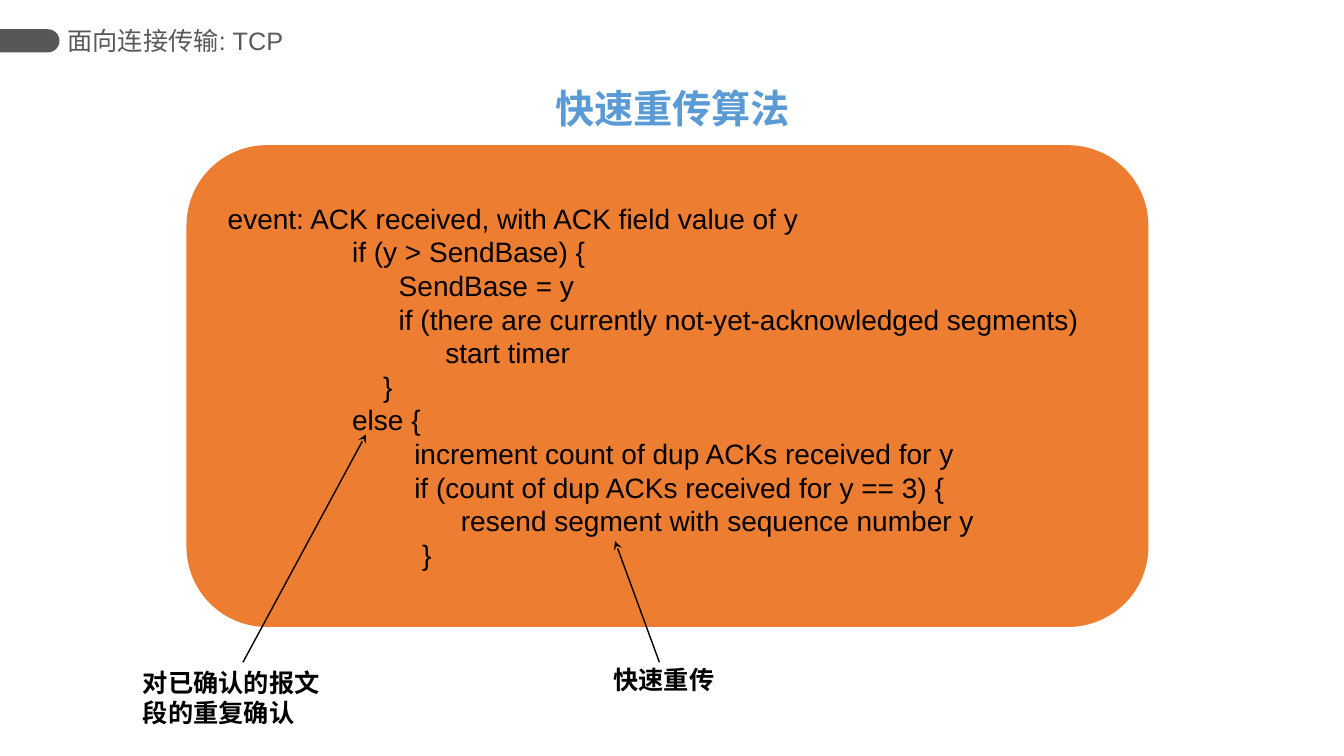
"""Build the slide on the TCP fast retransmit algorithm."""
from lxml.etree import SubElement
from pptx import Presentation
from pptx.dml.color import RGBColor
from pptx.enum.shapes import MSO_CONNECTOR, MSO_SHAPE
from pptx.enum.text import MSO_ANCHOR, MSO_AUTO_SIZE, PP_ALIGN
from pptx.oxml.ns import qn
from pptx.util import Inches, Pt

BLACK = RGBColor(0x00, 0x00, 0x00)
DARK = RGBColor(0x57, 0x57, 0x57)
GREY = RGBColor(0x59, 0x59, 0x59)
BLUE = RGBColor(0x5B, 0x9B, 0xD5)
ORANGE = RGBColor(0xED, 0x7D, 0x31)

CODE = [
    " event: ACK received, with ACK field value of y",
    "                 if (y > SendBase) {",
    "                       SendBase = y",
    "                       if (there are currently not-yet-acknowledged segments)",
    "                             start timer",
    "                     }",
    "                 else {",
    "                         increment count of dup ACKs received for y",
    "                         if (count of dup ACKs received for y == 3) {",
    "                               resend segment with sequence number y",
    "                          }",
]


def write(frame, lines, size, color, font="Arial", bold=False, align=PP_ALIGN.LEFT):
    for i, line in enumerate(lines):
        para = frame.add_paragraph() if i else frame.paragraphs[0]
        para.alignment = align
        run = para.add_run()
        run.text = line
        run.font.size = Pt(size)
        run.font.name = font
        run.font.bold = bold
        run.font.color.rgb = color


def add_block(kind, left, top, width, height, color):
    shape = slide.shapes.add_shape(
        kind, Inches(left), Inches(top), Inches(width), Inches(height))
    shape.shadow.inherit = False
    shape.fill.solid()
    shape.fill.fore_color.rgb = color
    shape.line.fill.background()
    return shape


deck = Presentation()
deck.slide_width = Inches(13.33)
deck.slide_height = Inches(7.5)
slide = deck.slides.add_slide(deck.slide_layouts[5])

tab = add_block(MSO_SHAPE.ROUND_2_SAME_RECTANGLE, 0.18, 0.11, 0.23, 0.59, DARK)
tab.adjustments[0] = 0.5
tab.rotation = 90

head = slide.shapes.add_textbox(Inches(0.67), Inches(0.19), Inches(2.33), Inches(0.42))
frame = head.text_frame
frame.word_wrap = True
frame.vertical_anchor = MSO_ANCHOR.MIDDLE
frame.margin_left = frame.margin_right = 0
write(frame, ["面向连接传输: TCP"], 18, GREY)

title = slide.shapes.title
title.left, title.top = Inches(5.39), Inches(0.78)
title.width, title.height = Inches(2.56), Inches(0.57)
frame = title.text_frame
frame.word_wrap = False
frame.auto_size = MSO_AUTO_SIZE.NONE
write(frame, ["快速重传算法"], 28, BLUE, bold=True, align=PP_ALIGN.CENTER)

panel = add_block(MSO_SHAPE.ROUNDED_RECTANGLE, 1.85, 1.44, 9.54, 4.78, ORANGE)
frame = panel.text_frame
frame.word_wrap = True
frame.vertical_anchor = MSO_ANCHOR.MIDDLE
write(frame, CODE, 20, BLACK)

NOTES = [
    (["对已确认的报文", "段的重复确认"], (1.32, 6.57, 1.96, 0.7),
     PP_ALIGN.LEFT, (2.41, 6.57, 3.63, 4.31)),
    (["快速重传"], (5.98, 6.54, 1.21, 0.4),
     PP_ALIGN.CENTER, (6.54, 6.57, 6.1, 5.37)),
]
for lines, place, align, ends in NOTES:
    note = slide.shapes.add_textbox(*[Inches(v) for v in place])
    note.text_frame.word_wrap = False
    write(note.text_frame, lines, 18, BLACK, "Comic Neue", True, align)

    arrow = slide.shapes.add_connector(
        MSO_CONNECTOR.STRAIGHT, *[Inches(v) for v in ends])
    arrow.line.color.rgb = BLACK
    arrow.line.width = Pt(1)
    SubElement(arrow.line._get_or_add_ln(), qn("a:tailEnd"), type="stealth")
    SubElement(arrow._element.spPr, qn("a:effectLst"))

deck.save("out.pptx")
